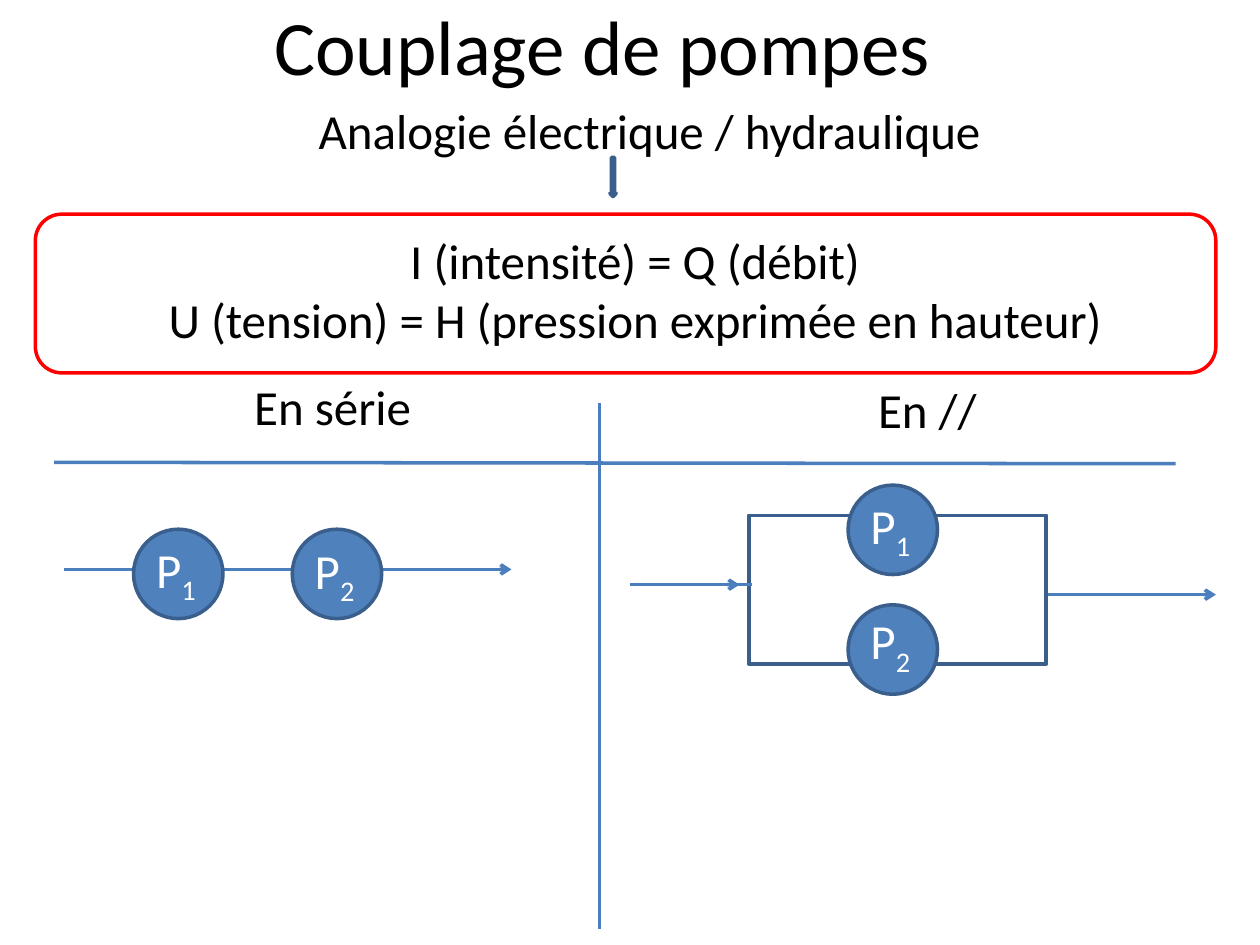
from dataclasses import dataclass

from lxml import etree
from pptx import Presentation
from pptx.dml.color import RGBColor
from pptx.enum import shapes, text
from pptx.oxml import ns
from pptx.util import Pt


@dataclass(frozen=True)
class Theme:
    font: str = "Calibri"
    title_size: int = 44
    body_size: int = 28
    line_width: int = 2
    ink: str = "000000"
    light: str = "FFFFFF"
    fill: str = "4F81BD"
    outline: str = "3A5F8C"
    rule: str = "4B7EBC"
    accent: str = "FF0000"


THEME = Theme()
PUMP_SIZE = 51.1


def color(value):
    return RGBColor.from_string(value)


def style_font(font, size, ink):
    font.name = THEME.font
    font.size = Pt(size)
    font.color.rgb = color(ink)


def add_label(parent, content, left, top, width, height,
              size=THEME.body_size, anchor=text.MSO_ANCHOR.TOP):
    box = parent.add_textbox(Pt(left), Pt(top), Pt(width), Pt(height))
    frame = box.text_frame
    frame.word_wrap = True
    frame.vertical_anchor = anchor
    frame.text = content
    for paragraph in frame.paragraphs:
        paragraph.alignment = text.PP_ALIGN.CENTER
        for run in paragraph.runs:
            style_font(run.font, size, THEME.ink)


def add_figure(parent, kind, left, top, width, height, outline=THEME.outline, fill=None):
    shape = parent.add_shape(kind, Pt(left), Pt(top), Pt(width), Pt(height))
    shape.shadow.inherit = False
    shape.line.color.rgb = color(outline)
    shape.line.width = Pt(THEME.line_width)
    if fill:
        shape.fill.solid()
        shape.fill.fore_color.rgb = color(fill)
    else:
        shape.fill.background()


def add_line(parent, start_x, start_y, end_x, end_y, arrow=False):
    line = parent.add_connector(shapes.MSO_CONNECTOR.STRAIGHT,
                                Pt(start_x), Pt(start_y), Pt(end_x), Pt(end_y))
    line.line.color.rgb = color(THEME.rule)
    line.line.width = Pt(THEME.line_width)
    if arrow:
        etree.SubElement(line.line._get_or_add_ln(), ns.qn("a:tailEnd"), type="arrow")
    etree.SubElement(line._element.spPr, ns.qn("a:effectLst"))


def add_pump(parent, number, left, top, label_top):
    add_figure(parent, shapes.MSO_SHAPE.OVAL, left, top, PUMP_SIZE, PUMP_SIZE,
               fill=THEME.fill)
    box = parent.add_textbox(Pt(left + 5.75), Pt(label_top), Pt(39.6), Pt(41))
    box.text_frame.word_wrap = False
    paragraph = box.text_frame.paragraphs[0]
    for content in ("P", number):
        run = paragraph.add_run()
        run.text = content
        style_font(run.font, THEME.body_size, THEME.light)
    run.font._element.set("baseline", "-25000")


def add_series_circuit(slide):
    group = slide.shapes.add_group_shape().shapes
    add_line(group, 36.7, 325.4, 292.3, 325.4, arrow=True)
    add_pump(group, "1", 76.3, 302.4, 304.6)
    add_pump(group, "2", 167, 302.4, 305.3)


def add_parallel_circuit(slide):
    group = slide.shapes.add_group_shape().shapes
    add_line(group, 360, 334.1, 422.6, 334.1, arrow=True)
    add_line(group, 598.3, 339.8, 694.8, 339.8, arrow=True)
    add_figure(group, shapes.MSO_SHAPE.RECTANGLE, 427.9, 294.5, 170, 85)
    add_pump(group, "1", 484.6, 277.2, 279.4)
    add_pump(group, "2", 484.6, 345.6, 345.6)
    add_line(group, 367.2, 334.1, 429.8, 334.1)


def main():
    presentation = Presentation()
    presentation.slide_width, presentation.slide_height = Pt(720), Pt(540)
    slide = presentation.slides.add_slide(presentation.slide_layouts[6])
    canvas = slide.shapes

    add_label(canvas, "Couplage de pompes ", 25.2, -19.4, 648, 90,
              THEME.title_size, text.MSO_ANCHOR.MIDDLE)
    add_line(canvas, 342.7, 230.4, 342.7, 530.6)
    add_line(canvas, 31, 264.2, 671.8, 265)
    add_label(canvas, "En série", 65.5, 211.7, 249.1, 41)
    add_label(canvas, "En //", 393.8, 213.1, 272.2, 41)
    add_label(canvas, "Analogie électrique / hydraulique", 121.7, 54, 499, 41)
    add_label(canvas, "I (intensité) = Q (débit)\n"
              "U (tension) = H (pression exprimée en hauteur)", 48.2, 128.2, 629.3, 75)
    add_figure(canvas, shapes.MSO_SHAPE.DOWN_ARROW, 348.5, 90, 3.6, 22.3,
               fill=THEME.fill)
    add_series_circuit(slide)
    add_parallel_circuit(slide)
    add_figure(canvas, shapes.MSO_SHAPE.ROUNDED_RECTANGLE, 20.2, 122.4, 674.6, 90.7,
               outline=THEME.accent)
    presentation.save("out.pptx")


if __name__ == "__main__":
    main()
